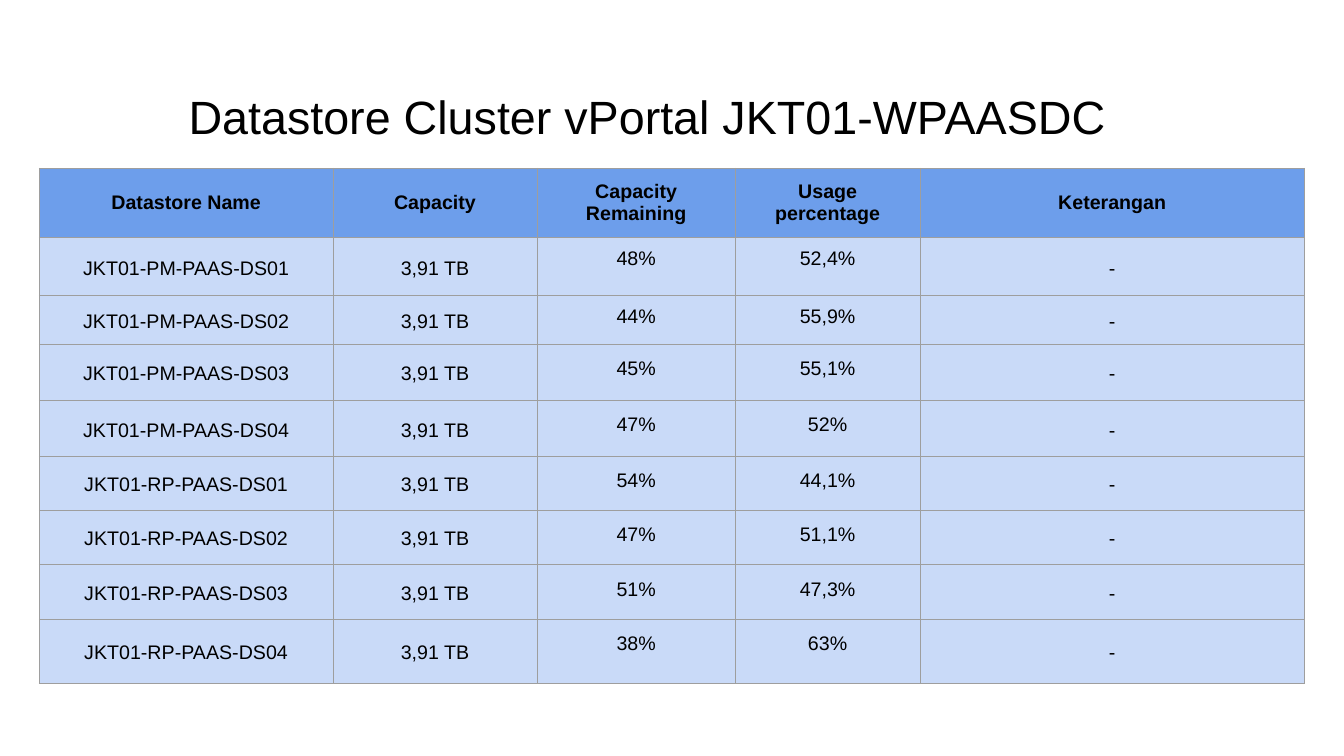
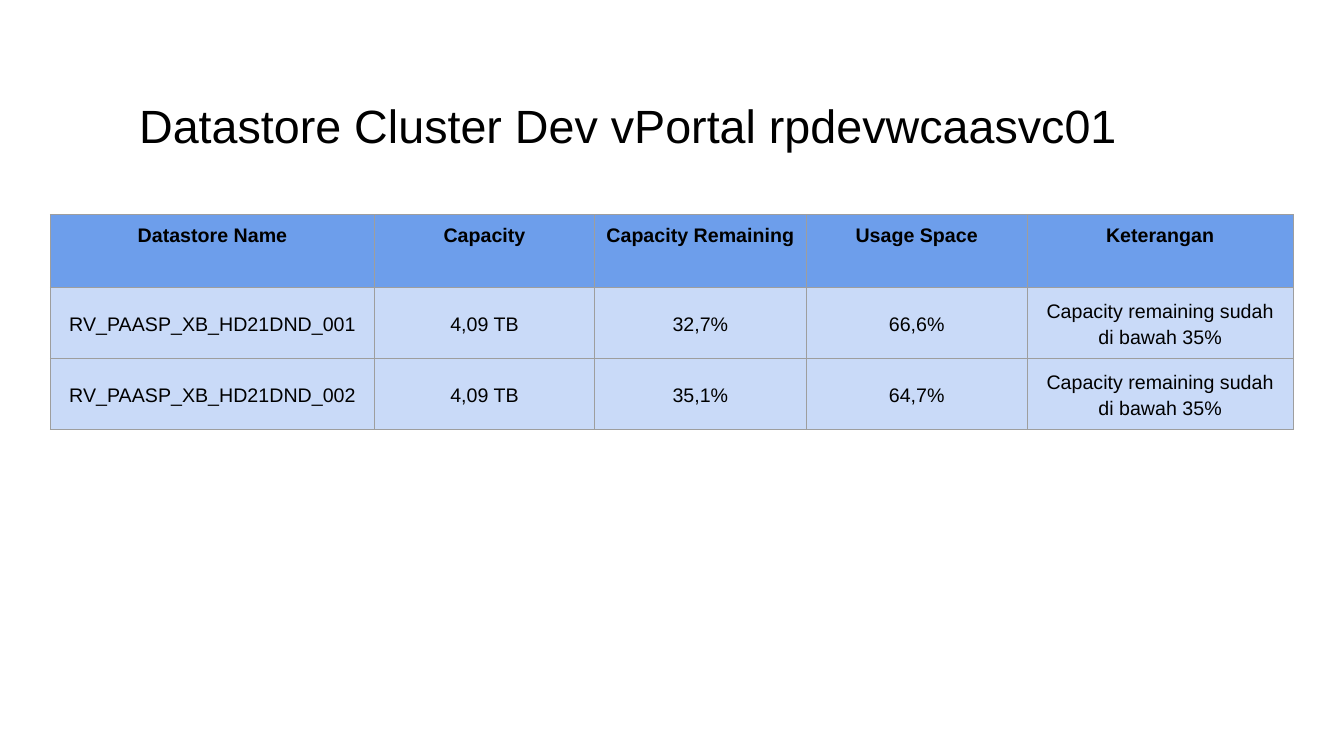
from itertools import product

from lxml import etree
from pptx import Presentation, util as u
from pptx.dml.color import RGBColor
from pptx.enum import text
from pptx.oxml import ns

WIDE, HIGH = u.Inches(13.33), u.Inches(7.5)
FONT, INK = "Arial", "000000"
HEAD, BODY, EDGE = "6D9EEB", "C9DAF8", "9E9E9E"
MID, TOP = text.MSO_ANCHOR.MIDDLE, text.MSO_ANCHOR.TOP
LEFT, MIDDLE = text.PP_ALIGN.LEFT, text.PP_ALIGN.CENTER


def across(share):
    """Turn a percentage of the slide's width into a length."""
    return round(WIDE * share / 100)


def down(share):
    """Turn a percentage of the slide's height into a length."""
    return round(HIGH * share / 100)


def color(code):
    """Turn a hex string into a colour."""
    return RGBColor.from_string(code)


def write(frame, words, size=14, bold=False, align=MIDDLE, gap=1.0):
    """Fill a text frame with one formatted paragraph."""
    para = frame.paragraphs[0]
    para.alignment, para.line_spacing = align, gap
    run = para.add_run()
    run.text = words
    font = run.font
    font.name, font.size, font.bold = FONT, u.Pt(size), bold
    font.color.rgb = color(INK)


def title(slide, words, left, top, width):
    """Place and format the slide's title."""
    box = slide.shapes.title
    box.left, box.top = across(left), down(top)
    box.width, box.height = across(width), down(7.87)
    frame = box.text_frame
    frame.auto_size = text.MSO_AUTO_SIZE.NONE
    frame.word_wrap, frame.vertical_anchor = True, MID
    write(frame, words, size=33.3, align=LEFT, gap=0.9)


def border(cell):
    """Draw a thin line on every side of a cell."""
    props = cell._tc.get_or_add_tcPr()
    for side in ("a:lnL", "a:lnR", "a:lnT", "a:lnB"):
        line = etree.SubElement(props, ns.qn(side), w=str(u.Pt(0.75)))
        fill = etree.SubElement(line, ns.qn("a:solidFill"))
        etree.SubElement(fill, ns.qn("a:srgbClr"), val=EDGE)


def paint(cell, words, fill, anchor=MID, **style):
    """Format one table cell and write its text."""
    border(cell)
    cell.fill.solid()
    cell.fill.fore_color.rgb = color(fill)
    cell.margin_left = cell.margin_right = u.Inches(0.1)
    cell.margin_top = cell.margin_bottom = u.Inches(0.1)
    cell.vertical_anchor = anchor
    write(cell.text_frame, words, **style)


def table(slide, data, left, top, cols, rows, head=MID, high=(), tight=0):
    """Add a table; high lists top-anchored columns, tight their single-spaced rows."""
    grid = slide.shapes.add_table(
        len(rows), len(cols), across(left), down(top),
        across(sum(cols)), down(sum(rows))).table
    grid.first_row = grid.horz_banding = False
    for col, share in zip(grid.columns, cols):
        col.width = across(share)
    for row, share in zip(grid.rows, rows):
        row.height = down(share)
    for r, c in product(range(len(rows)), range(len(cols))):
        cell, words = grid.cell(r, c), data[r][c]
        if r == 0:
            paint(cell, words, HEAD, head, bold=True)
        else:
            gap = 1.0 if c in high and r <= tight else 1.15
            paint(cell, words, BODY, TOP if c in high else MID, gap=gap)


def main():
    """Build both slides and save them."""
    deck = Presentation()
    deck.slide_width, deck.slide_height = WIDE, HIGH
    plain = deck.slide_layouts[5]

    prod = deck.slides.add_slide(plain)
    title(prod, "Datastore Cluster vPortal JKT01-WPAASDC", 13.28, 11.87, 73.5)
    names = [f"JKT01-{kind}-PAAS-DS0{n}"
             for kind, n in product(("PM", "RP"), range(1, 5))]
    free = ["48%", "44%", "45%", "47%", "54%", "47%", "51%", "38%"]
    used = ["52,4%", "55,9%", "55,1%", "52%", "44,1%", "51,1%", "47,3%", "63%"]
    data = [("Datastore Name", "Capacity", "Capacity Remaining",
             "Usage percentage", "Keterangan")]
    data += [(name, "3,91 TB", rest, use, "-")
             for name, rest, use in zip(names, free, used)]
    table(prod, data, 2.93, 22.27,
          cols=[21.85, 15.18, 14.75, 13.75, 28.6],
          rows=[9.15, 7.7, 6.45, 7.43, 7.43, 7.05, 7.25, 7.25, 8.4],
          high=(2, 3), tight=2)

    dev = deck.slides.add_slide(plain)
    title(dev, "Datastore Cluster Dev vPortal rpdevwcaasvc01", 9.6, 13.07, 80.8)
    note = "Capacity remaining sudah di bawah 35%"
    data = [
        ("Datastore Name", "Capacity", "Capacity Remaining",
         "Usage Space", "Keterangan"),
        ("RV_PAASP_XB_HD21DND_001", "4,09 TB", "32,7%", "66,6%", note),
        ("RV_PAASP_XB_HD21DND_002", "4,09 TB", "35,1%", "64,7%", note),
    ]
    table(dev, data, 3.75, 28.4,
          cols=[24.13, 16.35, 15.77, 16.43, 19.8],
          rows=[9.65, 8.95, 8.95], head=TOP)

    deck.save("out.pptx")


if __name__ == "__main__":
    main()
